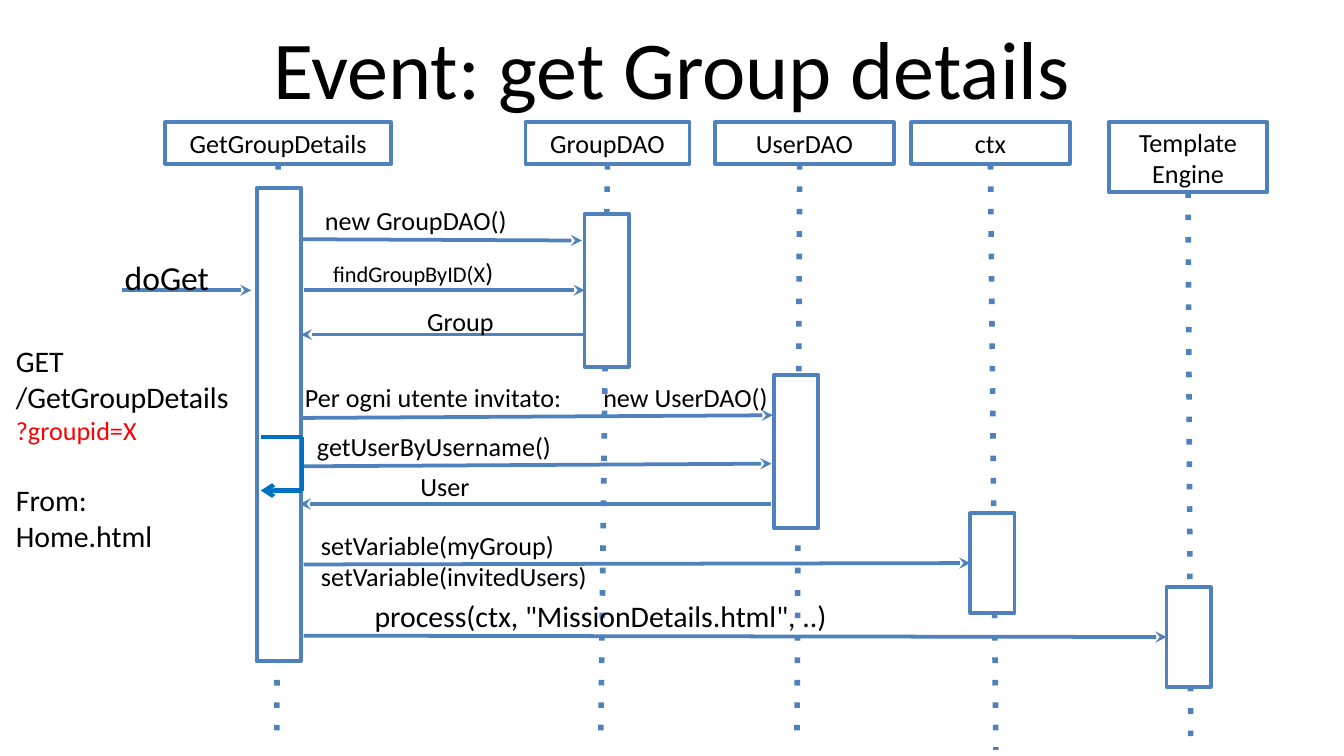
import pptx
import pptx.util
import pptx.dml.color
import pptx.enum.shapes
import pptx.enum.text
import pptx.oxml
import pptx.oxml.ns
from pptx.util import Inches

BLUE, DARK, BLACK, RED, WHITE = "4F81BD", "0070C0", "000000", "FF0000", "FFFFFF"
ALIGN = pptx.enum.text.PP_ALIGN
ANCHOR = pptx.enum.text.MSO_ANCHOR
BAR = 0.33
HEAD_TOP = 0.91

# name, left, width, height, lifeline start x, lifeline end
HEADS = [
    ("GetGroupDetails", 1.23, 1.68, 0.31, 2.07, (2.06, 5.51)),
    ("GroupDAO", 3.91, 1.22, 0.31, 4.52, (4.47, 5.53)),
    ("UserDAO", 5.32, 1.33, 0.31, 5.95, (5.93, 5.51)),
    ("ctx", 6.78, 1.18, 0.31, 7.37, (7.41, 5.58)),
    ("Template\nEngine", 8.25, 1.18, 0.52, 8.84, (8.86, 5.59)),
]
# name, left, top, height
BARS = [
    ("page", 1.91, 1.4, 3.52),
    ("group", 4.35, 1.59, 1.14),
    ("user", 5.76, 2.79, 1.14),
    ("ctx", 7.22, 3.82, 0.74),
    ("engine", 8.68, 4.37, 0.74),
]
# start, end, bar joined at its left side
CALLS = [
    ((0.91, 2.16), (1.87, 2.16), None),
    ((2.25, 1.78), (4.33, 1.79), None),
    ((2.26, 2.16), (4.34, 2.18), "group"),
    ((4.34, 2.49), (2.24, 2.49), None),
    ((2.24, 3.11), (5.75, 3.09), None),
    ((2.24, 3.47), (5.74, 3.45), None),
    ((5.74, 3.75), (2.23, 3.75), None),
    ((2.26, 4.2), (7.22, 4.19), "ctx"),
    ((2.26, 4.73), (8.67, 4.75), "engine"),
]
# left, top, width, height, runs of (text, size)
LABELS = [
    (0.83, 1.86, 1, 0.3, [("doGet", 18)]),
    (2.32, 1.47, 1.76, 0.25, [("new GroupDAO()", 14)]),
    (2.38, 1.86, 2.82, 0.25, [("findGroupByID(X", 12), (")", 14)]),
    (3.08, 2.22, 1, 0.25, [("Group", 14)]),
    (2.17, 2.79, 3.69, 0.25, [("Per ogni utente invitato:\tnew UserDAO()", 14)]),
    (2.26, 3.15, 3.06, 0.29, [("getUserByUsername()", 14)]),
    (3.03, 3.45, 1, 0.25, [("User", 14)]),
    (2.29, 3.89, 2.27, 0.27, [("setVariable(myGroup) setVariable(invitedUsers)", 14)]),
]
# text, size, colour, space before
REQUEST = [
    ("GET", 16, BLACK, 0),
    ("/GetGroupDetails", 16, BLACK, 0),
    ("?groupid=X", 14, RED, 0),
    ("From:", 16, BLACK, 19.2),
    ("Home.html", 16, BLACK, 0),
]
LOOP = [(1.94, 3.25), (2.25, 3.25), (2.25, 3.65), (1.94, 3.65)]


def rgb(code):
    return pptx.dml.color.RGBColor.from_string(code)


def element(tag, **values):
    item = pptx.oxml.parse_xml(f"<a:{tag} {pptx.oxml.ns.nsdecls('a')}/>")
    for key, value in values.items():
        item.set(key, str(value))
    return item


def write(para, text, size, color=BLACK):
    run = para.add_run()
    run.text = text
    run.font.name = "Calibri"
    run.font.size = pptx.util.Pt(size)
    run.font.color.rgb = rgb(color)


def set_tab(para, pos):
    stops = element("tabLst")
    stops.append(element("tab", pos=Inches(pos), algn="l"))
    para._p.get_or_add_pPr().append(stops)


def add_text(slide, left, top, width, height):
    """Add an empty wrapping text box and return its frame."""
    box = slide.shapes.add_textbox(*map(Inches, (left, top, width, height)))
    box.text_frame.word_wrap = True
    return box.text_frame


def add_box(slide, left, top, width, height):
    box = slide.shapes.add_shape(pptx.enum.shapes.MSO_SHAPE.RECTANGLE,
                                 *map(Inches, (left, top, width, height)))
    box.shadow.inherit = False
    box.fill.solid()
    box.fill.fore_color.rgb = rgb(WHITE)
    box.line.color.rgb = rgb(BLUE)
    box.line.width = pptx.util.Pt(2)
    return box


def add_line(slide, start, end, color=BLUE, width=2, dash=None, tip=None):
    line = slide.shapes.add_connector(pptx.enum.shapes.MSO_CONNECTOR.STRAIGHT,
                                      *map(Inches, start + end))
    line.line.color.rgb = rgb(color)
    line.line.width = pptx.util.Pt(width)
    stroke = line.line._get_or_add_ln()
    if dash:
        stroke.append(element("prstDash", val=dash))
    if tip:
        stroke.append(element("tailEnd", type=tip))
    line._element.spPr.append(element("effectLst"))
    return line


def add_head(slide, name, left, width, height, foot, end):
    """Add a participant box and its dotted lifeline."""
    box = add_box(slide, left, HEAD_TOP, width, height)
    frame = box.text_frame
    frame.word_wrap = True
    frame.vertical_anchor = ANCHOR.MIDDLE
    para = frame.paragraphs[0]
    para.alignment = ALIGN.CENTER
    for index, word in enumerate(name.split("\n")):
        if index:
            para.add_line_break()
        write(para, word, 14)
    line = add_line(slide, (foot, HEAD_TOP + height), end, width=3, dash="dot")
    if abs(left + width / 2 - foot) < 0.02:
        line.begin_connect(box, 2)


def add_label(slide, left, top, width, height, runs):
    para = add_text(slide, left, top, width, height).paragraphs[0]
    if any("\t" in text for text, size in runs):
        set_tab(para, 2.22)
    for text, size in runs:
        write(para, text, size)


def add_request(slide):
    frame = add_text(slide, 0.02, 2.5, 1.93, 1.59)
    for index, (text, size, color, gap) in enumerate(REQUEST):
        para = frame.add_paragraph() if index else frame.paragraphs[0]
        if gap:
            para.space_before = pptx.util.Pt(gap)
        write(para, text, size, color)


def add_title(slide):
    frame = add_text(slide, 0.5, 0.03, 9, 0.93)
    frame.margin_left = frame.margin_right = 0
    frame.margin_top = frame.margin_bottom = 0
    frame.vertical_anchor = ANCHOR.MIDDLE
    frame.paragraphs[0].alignment = ALIGN.CENTER
    write(frame.paragraphs[0], "Event: get Group details", 44)


def main():
    deck = pptx.Presentation()
    deck.slide_width, deck.slide_height = Inches(10), Inches(10 * 9 / 16)
    slide = deck.slides.add_slide(deck.slide_layouts[6])
    for head in HEADS:
        add_head(slide, *head)
    bars = {name: add_box(slide, left, top, BAR, height)
            for name, left, top, height in BARS}
    for start, end, goal in CALLS:
        line = add_line(slide, start, end, tip="stealth")
        if goal:
            line.end_connect(bars[goal], 1)
    for label in LABELS:
        add_label(slide, *label)
    process = add_text(slide, 2.58, 4.4, 3.78, 0.36).paragraphs[0]
    process.alignment = ALIGN.CENTER
    write(process, 'process(ctx, "MissionDetails.html", ..)', 16)
    add_request(slide)
    add_title(slide)
    for start, end in zip(LOOP, LOOP[1:]):
        tip = "arrow" if end == LOOP[-1] else None
        add_line(slide, start, end, DARK, 2.25, tip=tip)
    deck.save("out.pptx")


if __name__ == "__main__":
    main()
